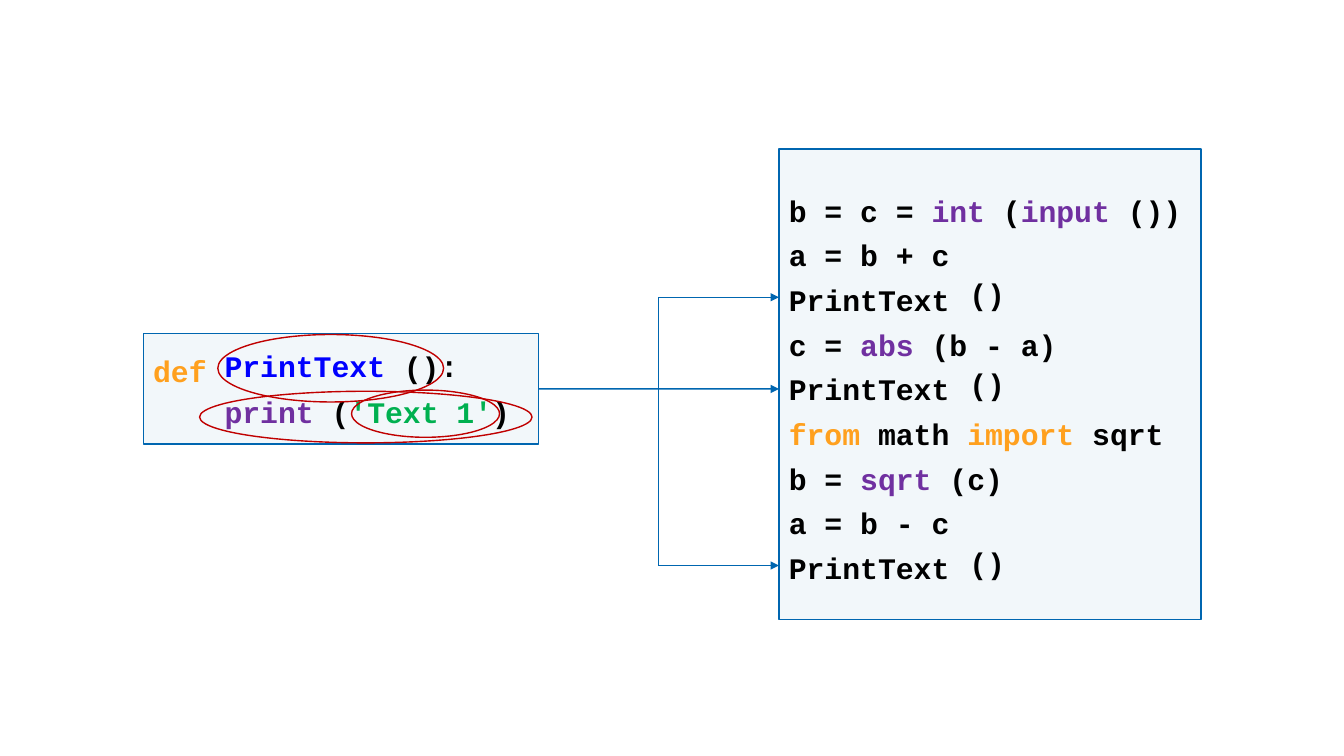
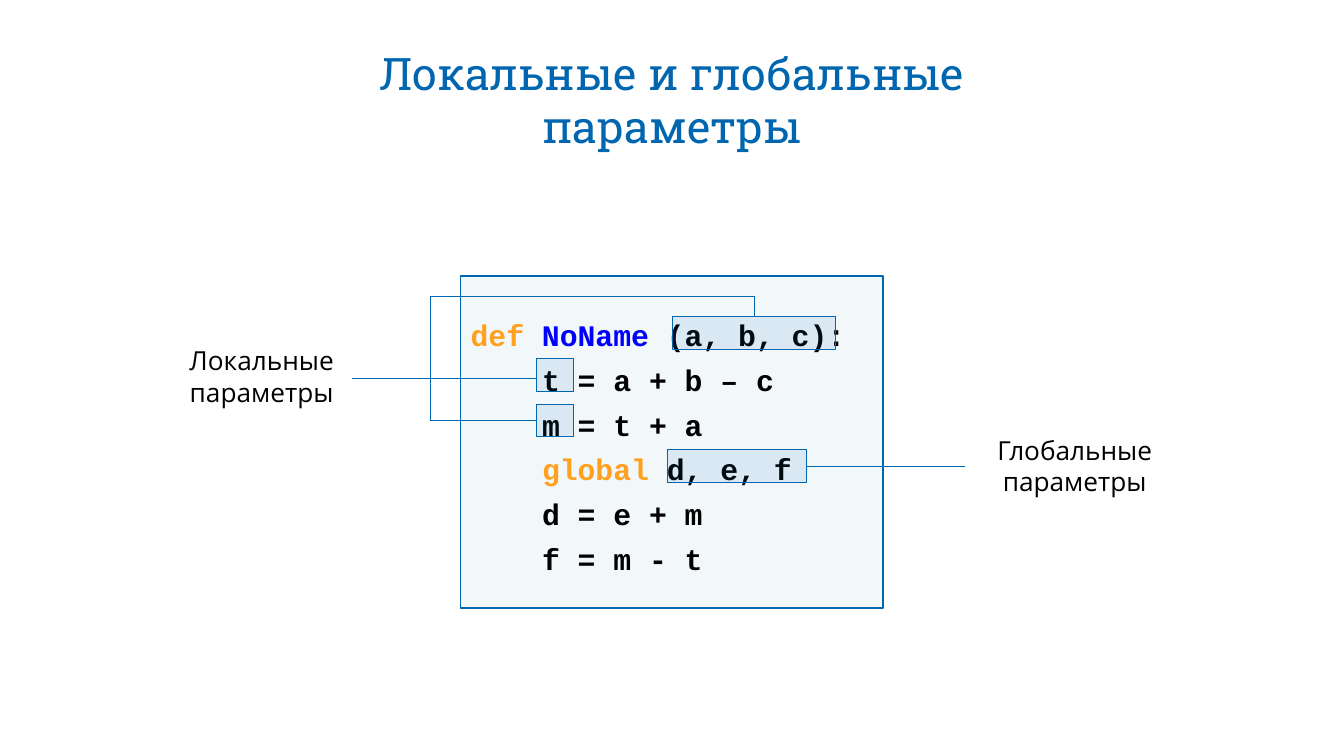
from dataclasses import dataclass
from typing import NamedTuple

import lxml.etree
import pptx
import pptx.dml.color
import pptx.enum.shapes
import pptx.enum.text
import pptx.oxml.ns
import pptx.shapes.autoshape
import pptx.shapes.connector
import pptx.slide
import pptx.text.text
import pptx.util

Cm = pptx.util.Cm
Pt = pptx.util.Pt
RGBColor = pptx.dml.color.RGBColor
MSO_SHAPE = pptx.enum.shapes.MSO_SHAPE
PP_ALIGN = pptx.enum.text.PP_ALIGN
MSO_ANCHOR = pptx.enum.text.MSO_ANCHOR
qn = pptx.oxml.ns.qn

BLUE = RGBColor(0x00, 0x66, 0xB0)
BLACK = RGBColor(0x00, 0x00, 0x00)
KEYWORD = RGBColor(0xFF, 0xA0, 0x1E)
BUILTIN = RGBColor(0x70, 0x30, 0xA0)
FUNCTION = RGBColor(0x00, 0x00, 0xFF)
STRING = RGBColor(0x00, 0xB0, 0x50)
RED = RGBColor(0xC0, 0x00, 0x00)

CODE_FONT, CODE_SIZE = "Courier New", 21.3
CODE_INDENT = 1.8
CODE_SPACING = 1.25
TOP, LEFT, RIGHT = 0, 1, 3


class Box(NamedTuple):
    """Left, top, width and height in centimetres."""
    x: float
    y: float
    w: float
    h: float


class Point(NamedTuple):
    x: float
    y: float


class Token(NamedTuple):
    text: str
    color: RGBColor = BLACK


@dataclass(frozen=True)
class CodeLine:
    tokens: list[Token]
    indent: float = 0


@dataclass(frozen=True)
class Snippet:
    """One line of code standing in its own text box."""
    box: Box
    tokens: list[Token]


def lengths(box: Box) -> list[pptx.util.Length]:
    return [Cm(v) for v in box]


def add_panel(s: pptx.slide.Slide, box: Box, opacity: int, width: float) -> pptx.shapes.autoshape.Shape:
    """Add a translucent blue rectangle with a blue outline."""
    sp = s.shapes.add_shape(MSO_SHAPE.RECTANGLE, *lengths(box))
    sp.shadow.inherit = False
    sp.fill.solid()
    sp.fill.fore_color.rgb = BLUE
    color = sp.fill._xPr.find(qn("a:solidFill"))[0]
    lxml.etree.SubElement(color, qn("a:alpha")).set("val", str(opacity * 1000))
    sp.line.color.rgb = BLUE
    sp.line.width = Pt(width)
    return sp


def add_ellipse(s: pptx.slide.Slide, box: Box) -> None:
    sp = s.shapes.add_shape(MSO_SHAPE.OVAL, *lengths(box))
    sp.shadow.inherit = False
    sp.fill.background()
    sp.line.color.rgb = RED
    sp.line.width = Pt(1)


def add_line(s: pptx.slide.Slide, start: Point, end: Point, width: float,
             arrow: bool = False) -> pptx.shapes.connector.Connector:
    c = s.shapes.add_connector(pptx.enum.shapes.MSO_CONNECTOR.STRAIGHT,
                               *[Cm(v) for v in (*start, *end)])
    c.line.color.rgb = BLUE
    c.line.width = Pt(width)
    if arrow:
        ln = c.line._get_or_add_ln()
        lxml.etree.SubElement(ln, qn("a:tailEnd")).set("type", "triangle")
    lxml.etree.SubElement(c._element.spPr, qn("a:effectLst"))
    return c


def write_tokens(p: pptx.text.text._Paragraph, tokens: list[Token]) -> None:
    p.alignment = PP_ALIGN.LEFT
    p.font.name = CODE_FONT
    p.font.size = Pt(CODE_SIZE)
    p.font.bold = True
    for token in tokens:
        r = p.add_run()
        r.text = token.text
        r.font.color.rgb = token.color


def write_code(tf: pptx.text.text.TextFrame, lines: list[CodeLine]) -> None:
    tf.vertical_anchor = MSO_ANCHOR.MIDDLE
    for i, line in enumerate(lines):
        p = tf.add_paragraph() if i else tf.paragraphs[0]
        write_tokens(p, line.tokens)
        p.line_spacing = CODE_SPACING
        if line.indent:
            pPr = p._p.get_or_add_pPr()
            pPr.set("marL", str(Cm(line.indent)))
            pPr.set("indent", "0")


def add_snippet(s: pptx.slide.Slide, snippet: Snippet) -> None:
    tf = s.shapes.add_textbox(*lengths(snippet.box)).text_frame
    tf.word_wrap = False
    tf.auto_size = pptx.enum.text.MSO_AUTO_SIZE.SHAPE_TO_FIT_TEXT
    write_tokens(tf.paragraphs[0], snippet.tokens)


def add_text(s: pptx.slide.Slide, box: Box, text: str, font: str, size: float,
             color: RGBColor) -> pptx.shapes.autoshape.Shape:
    """Add a centred, wrapping text box."""
    sp = s.shapes.add_textbox(*lengths(box))
    tf = sp.text_frame
    tf.word_wrap = True
    p = tf.paragraphs[0]
    p.text = text
    p.alignment = PP_ALIGN.CENTER
    p.font.name = font
    p.font.size = Pt(size)
    p.font.color.rgb = color
    return sp


def add_title(s: pptx.slide.Slide, text: str) -> None:
    add_text(s, Box(9.12, 1.02, 15.65, 3), text, "Roboto Slab", 32, BLUE)


def add_label(s: pptx.slide.Slide, x: float, y: float, text: str) -> pptx.shapes.autoshape.Shape:
    return add_text(s, Box(x, y, 5.51, 1.86), text, "Open Sans", 18.7, BLACK)


def build_calls_slide(s: pptx.slide.Slide) -> None:
    program_box = Box(19.63, 3.76, 10.64, 11.86)
    call = CodeLine([Token("PrintText")])
    program = add_panel(s, program_box, 5, 1)
    write_code(program.text_frame, [
        CodeLine([Token("b = с = "), Token("int", BUILTIN), Token(" ("),
                  Token("input", BUILTIN), Token(" ())")]),
        CodeLine([Token("a = b + c")]),
        call,
        CodeLine([Token("c = "), Token("abs", BUILTIN), Token(" (b - a)")]),
        call,
        CodeLine([Token("from", KEYWORD), Token(" math "),
                  Token("import ", KEYWORD), Token("sqrt")]),
        CodeLine([Token("b = "), Token("sqrt", BUILTIN), Token(" (c)")]),
        CodeLine([Token("a = b - c")]),
        call,
    ])

    definition = add_panel(s, Box(3.61, 8.41, 9.96, 2.78), 5, 1)
    write_code(definition.text_frame, [CodeLine([Token("def", KEYWORD)])])
    definition.text_frame.vertical_anchor = MSO_ANCHOR.TOP
    definition.text_frame.margin_top = Cm(0.26)

    trunk_x, middle_y = 16.59, 9.8
    arrow = add_line(s, Point(13.57, middle_y), Point(program_box.x, middle_y), 1, arrow=True)
    arrow.begin_connect(definition, RIGHT)
    for y in (7.49, 14.25):
        add_line(s, Point(trunk_x, middle_y), Point(trunk_x, y), 1)
        add_line(s, Point(trunk_x, y), Point(program_box.x, y), 1, arrow=True)

    height = 1.17
    snippets = [
        Snippet(Box(5.41, 8.64, 4.6, height), [Token("PrintText", FUNCTION)]),
        Snippet(Box(9.93, 8.66, 1.42, height), [Token("()")]),
        Snippet(Box(10.85, 8.64, 0.97, height), [Token(":")]),
        Snippet(Box(5.41, 9.8, 7.77, height),
                [Token("print", BUILTIN), Token(" ("), Token("'Text 1'", STRING), Token(")")]),
    ]
    snippets += [Snippet(Box(24.18, y, 1.42, height), [Token("()")])
                 for y in (6.83, 9.09, 13.61)]
    for snippet in snippets:
        add_snippet(s, snippet)

    for box in (Box(5.03, 9.86, 8.38, 1.3), Box(5.49, 8.43, 5.69, 1.7),
                Box(8.86, 9.83, 3.73, 1.19)):
        add_ellipse(s, box)


def build_scope_slide(s: pptx.slide.Slide) -> None:
    add_title(s, "Локальные и глобальные параметры")
    code = add_panel(s, Box(11.61, 6.96, 10.64, 8.36), 5, 1)
    write_code(code.text_frame, [
        CodeLine([Token("def ", KEYWORD), Token("NoName", FUNCTION), Token(" (a, b, c):")]),
        CodeLine([Token("t = a + b – c")], CODE_INDENT),
        CodeLine([Token("m = t + a")], CODE_INDENT),
        CodeLine([Token("global", KEYWORD), Token(" d, e, f")], CODE_INDENT),
        CodeLine([Token("d = е + m")], CODE_INDENT),
        CodeLine([Token("f = m - t")], CODE_INDENT),
    ])

    arguments, _, local_m, global_names = [
        add_panel(s, Box(x, y, w, 0.82), 10, 0.5)
        for x, y, w in ((16.94, 7.98, 4.12), (13.51, 9.04, 0.94),
                        (13.51, 10.19, 0.94), (16.81, 11.33, 3.51))
    ]

    thin = 0.5
    bus_x, names_x, arguments_x = 10.85, 13.51, 19
    top_y, label_y, m_y = 7.46, 9.53, 10.6
    add_line(s, Point(arguments_x, 7.98), Point(arguments_x, top_y), thin).begin_connect(arguments, TOP)
    add_line(s, Point(arguments_x, top_y), Point(bus_x, top_y), thin)
    add_line(s, Point(bus_x, top_y), Point(bus_x, m_y), thin)
    add_line(s, Point(names_x, label_y), Point(8.86, label_y), thin)
    add_line(s, Point(names_x, m_y), Point(bus_x, m_y), thin).begin_connect(local_m, LEFT)
    add_label(s, 3.84, 8.56, "Локальные параметры")

    global_label = add_label(s, 24.33, 10.81, "Глобальные параметры")
    link = add_line(s, Point(24.33, 11.74), Point(20.32, 11.74), thin)
    link.begin_connect(global_label, LEFT)
    link.end_connect(global_names, RIGHT)


def main() -> None:
    prs = pptx.Presentation()
    prs.slide_width, prs.slide_height = Cm(33.87), Cm(19.05)
    blank = prs.slide_layouts[6]
    for build in (build_calls_slide, build_scope_slide):
        build(prs.slides.add_slide(blank))
    prs.save("out.pptx")


if __name__ == "__main__":
    main()
